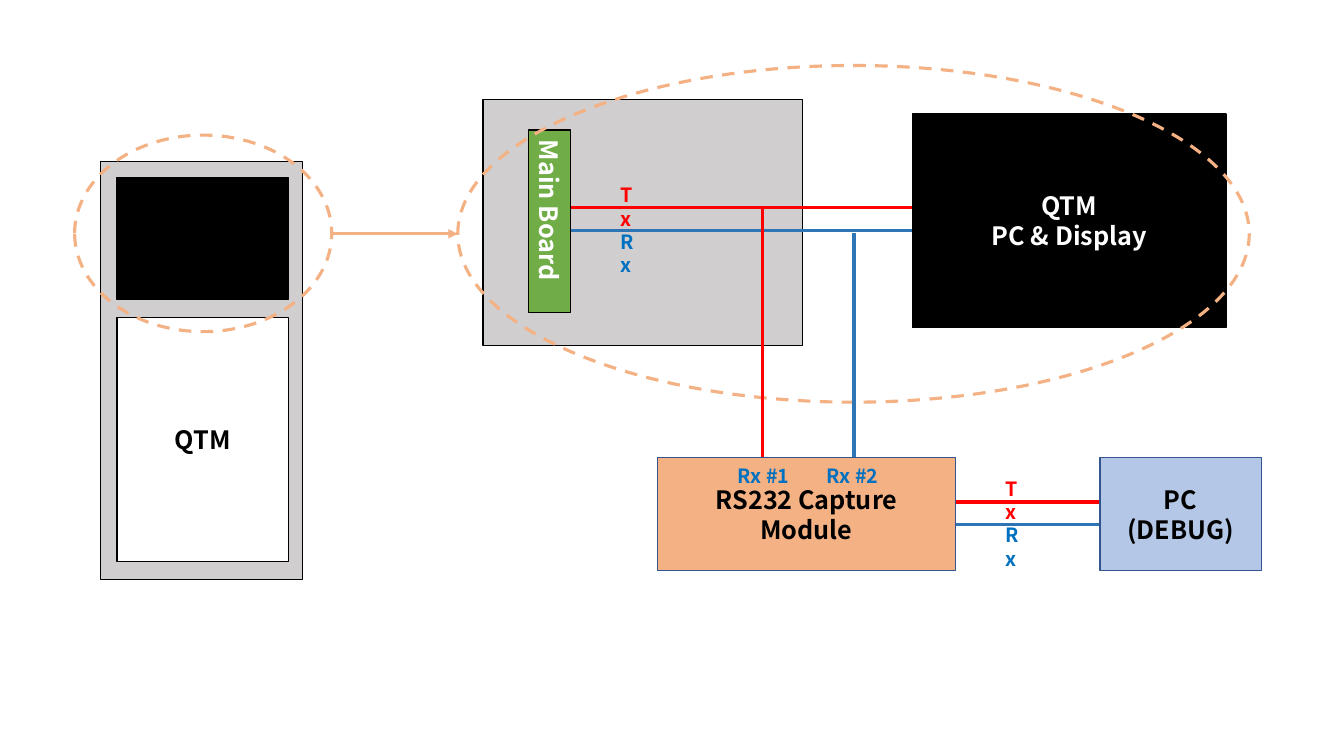
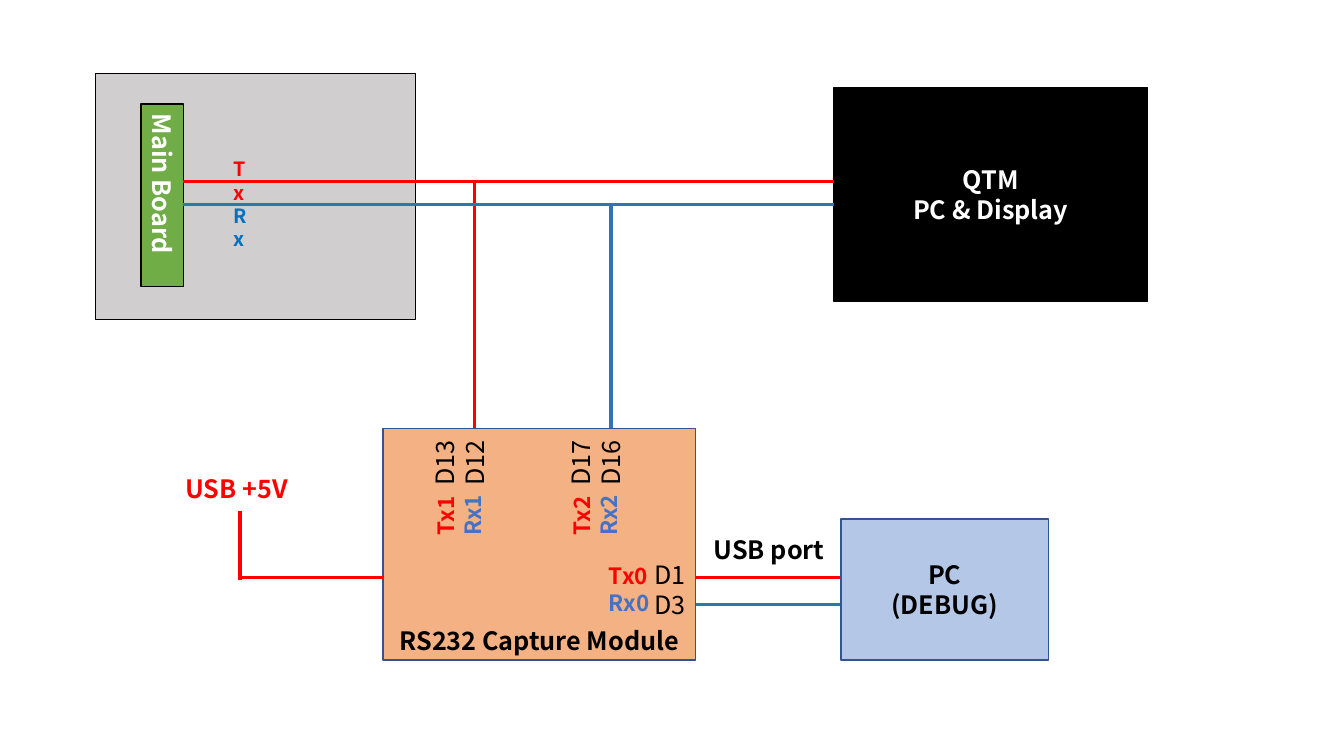
from lxml import etree
from pptx import Presentation
from pptx.dml.color import RGBColor
from pptx.enum.dml import MSO_LINE
from pptx.enum.shapes import MSO_CONNECTOR, MSO_SHAPE
from pptx.enum.text import MSO_ANCHOR, MSO_AUTO_SIZE, PP_ALIGN
from pptx.oxml.ns import qn
from pptx.util import Pt

RECT, OVAL = MSO_SHAPE.RECTANGLE, MSO_SHAPE.OVAL
STRAIGHT, DASH = MSO_CONNECTOR.STRAIGHT, MSO_LINE.DASH
MIDDLE, BOTTOM = MSO_ANCHOR.MIDDLE, MSO_ANCHOR.BOTTOM
CENTER, GROW = PP_ALIGN.CENTER, MSO_AUTO_SIZE.SHAPE_TO_FIT_TEXT

FONT = "Noto Sans CJK KR"
PX = 9144  # one hundredth of an inch
BLACK, WHITE, GRAY = "000000", "FFFFFF", "D0CECE"
GREEN, PEACH, SKY, NAVY = "70AD47", "F4B183", "B4C7E7", "325491"
RED, BLUE, RX, PIN = "FF0000", "2E75B6", "0070C0", "4472C4"


def color(code):
    return RGBColor.from_string(code)


def scale(*sizes):
    return [size * PX for size in sizes]


# Basic parts
def write(frame, lines, size, bold=True, align=None):
    """Write one paragraph for each (text, colour) pair."""
    for i, (text, tint) in enumerate(lines):
        para = frame.add_paragraph() if i else frame.paragraphs[0]
        para.alignment = align
        run = para.add_run()
        run.text = text
        font = run.font
        font.name, font.size, font.bold = FONT, Pt(size), bold
        font.color.rgb = color(tint)


def box(slide, x, y, w, h, fill, edge=BLACK, lines=(), anchor=MIDDLE):
    shape = slide.shapes.add_shape(RECT, *scale(x, y, w, h))
    shape.shadow.inherit = False
    shape.fill.solid()
    shape.fill.fore_color.rgb = color(fill)
    shape.line.color.rgb = color(edge)
    shape.line.width = Pt(1)
    frame = shape.text_frame
    frame.word_wrap = True
    frame.vertical_anchor = anchor
    write(frame, lines, 18, align=CENTER)
    return shape


def ring(slide, x, y, w, h):
    shape = slide.shapes.add_shape(OVAL, *scale(x, y, w, h))
    shape.shadow.inherit = False
    shape.fill.background()
    shape.line.color.rgb = color(PEACH)
    shape.line.width = Pt(2.25)
    shape.line.dash_style = DASH


def wire(slide, x1, y1, x2, y2, tint):
    line = slide.shapes.add_connector(STRAIGHT, *scale(x1, y1, x2, y2))
    line.line.color.rgb = color(tint)
    line.line.width = Pt(2.25)
    etree.SubElement(line._element.spPr, qn("a:effectLst"))
    return line


def arrow(slide, x1, y1, x2, y2, tint):
    line = wire(slide, x1, y1, x2, y2, tint)
    head = etree.SubElement(line.line._get_or_add_ln(), qn("a:tailEnd"))
    head.set("type", "triangle")


def label(slide, x, y, w, h, lines, size, bold=True, wrap=False, turn=0):
    shape = slide.shapes.add_textbox(*scale(x, y, w, h))
    shape.rotation = turn
    frame = shape.text_frame
    frame.word_wrap = wrap
    frame.auto_size = GROW
    write(frame, lines, size, bold)


# Wire pairs
def pair(slide, x, y, w, gap):
    for i, tint in enumerate((RED, BLUE)):
        wire(slide, x, y + i * gap, x + w, y + i * gap, tint)


def tags(slide, x, y):
    """Tx and Rx in narrow boxes, so that each letter has its own line."""
    for i, tag in enumerate((("Tx", RED), ("Rx", RX))):
        label(slide, x, y + i * 46, 41, 34, [tag], 14, wrap=True)


# Regions
def kiosk(slide, x, y):
    box(slide, x, y, 200, 415, GRAY)
    box(slide, x + 16, y + 16, 170, 121, BLACK)
    box(slide, x + 16, y + 155, 170, 242, WHITE, lines=[("QTM", BLACK)])
    ring(slide, x - 26, y - 26, 255, 195)


def bus(slide, x, y, far):
    """Main board in its case, wired to a display that starts at far."""
    box(slide, x, y, 317, 244, GRAY)
    board = box(slide, x + 45, y + 30, 42, 181, GREEN,
                lines=[("Main Board", WHITE)])
    board.text_frame._txBody.bodyPr.set("vert", "eaVert")
    box(slide, x + far, y + 14, 311, 212, BLACK,
        lines=[("QTM", WHITE), ("PC & Display", WHITE)])
    pair(slide, x + 87, y + 107, far - 87, 23)
    tags(slide, x + 127, y + 78)


def module(slide, x, y, w, h, anchor=MIDDLE):
    box(slide, x, y, w, h, PEACH, NAVY,
        [("RS232 Capture Module", BLACK)], anchor)


def debug(slide, x, y, w, h):
    box(slide, x, y, w, h, SKY, NAVY, [("PC", BLACK), ("(DEBUG)", BLACK)])


def port(slide, x, y, num, data, top, tint):
    """Pin names of one serial port, with its tap up to the bus."""
    label(slide, x - 48, y - 2, 66, 71, [(pin, BLACK) for pin in data],
          18, bold=False, turn=270)
    wire(slide, x, y, x, top, tint)
    label(slide, x - 48, y + 51, 66, 64,
          [(f"Tx{num}", RED), (f"Rx{num}", PIN)], 16, wrap=True, turn=270)


# Slides
def outline(slide):
    kiosk(slide, 100, 160)
    arrow(slide, 328, 232, 454, 232, PEACH)
    bus(slide, 479, 99, 426)
    ring(slide, 454, 65, 785, 334)

    # Capture module with its taps
    wire(slide, 847, 454, 847, 231, BLUE)
    wire(slide, 756, 454, 756, 206, RED)
    module(slide, 652, 454, 296, 112)
    for i in range(2):
        label(slide, 722 + i * 88, 455, 74, 34, [(f"Rx #{i + 1}", RX)], 14)

    # Link to the debugging computer
    pair(slide, 948, 498, 144, 22)
    tags(slide, 987, 468)
    debug(slide, 1091, 454, 160, 112)


def wiring(slide):
    # Capture module with its pins
    module(slide, 380, 425, 310, 230, BOTTOM)
    label(slide, 639, 550, 52, 71, [("D1", BLACK), ("D3", BLACK)],
          18, bold=False)
    label(slide, 594, 553, 66, 64, [("Tx0", RED), ("Rx0", PIN)],
          16, wrap=True)
    port(slide, 606, 425, 2, ("D17", "D16"), 203, BLUE)
    port(slide, 471, 425, 1, ("D13", "D12"), 180, RED)
    bus(slide, 95, 73, 732)

    # Link to the debugging computer
    pair(slide, 690, 573, 144, 27)
    debug(slide, 834, 515, 206, 140)
    label(slide, 698, 525, 130, 40, [("USB port", BLACK)], 18)

    # Power supply
    wire(slide, 237, 573, 380, 573, RED)
    wire(slide, 238, 575, 238, 507, RED)
    label(slide, 174, 465, 128, 40, [("USB +5V", RED)], 18)


def main():
    deck = Presentation()
    deck.slide_width, deck.slide_height = scale(1333, 750)
    for draw in (outline, wiring):
        draw(deck.slides.add_slide(deck.slide_layouts[6]))
    deck.save("out.pptx")


if __name__ == "__main__":
    main()
